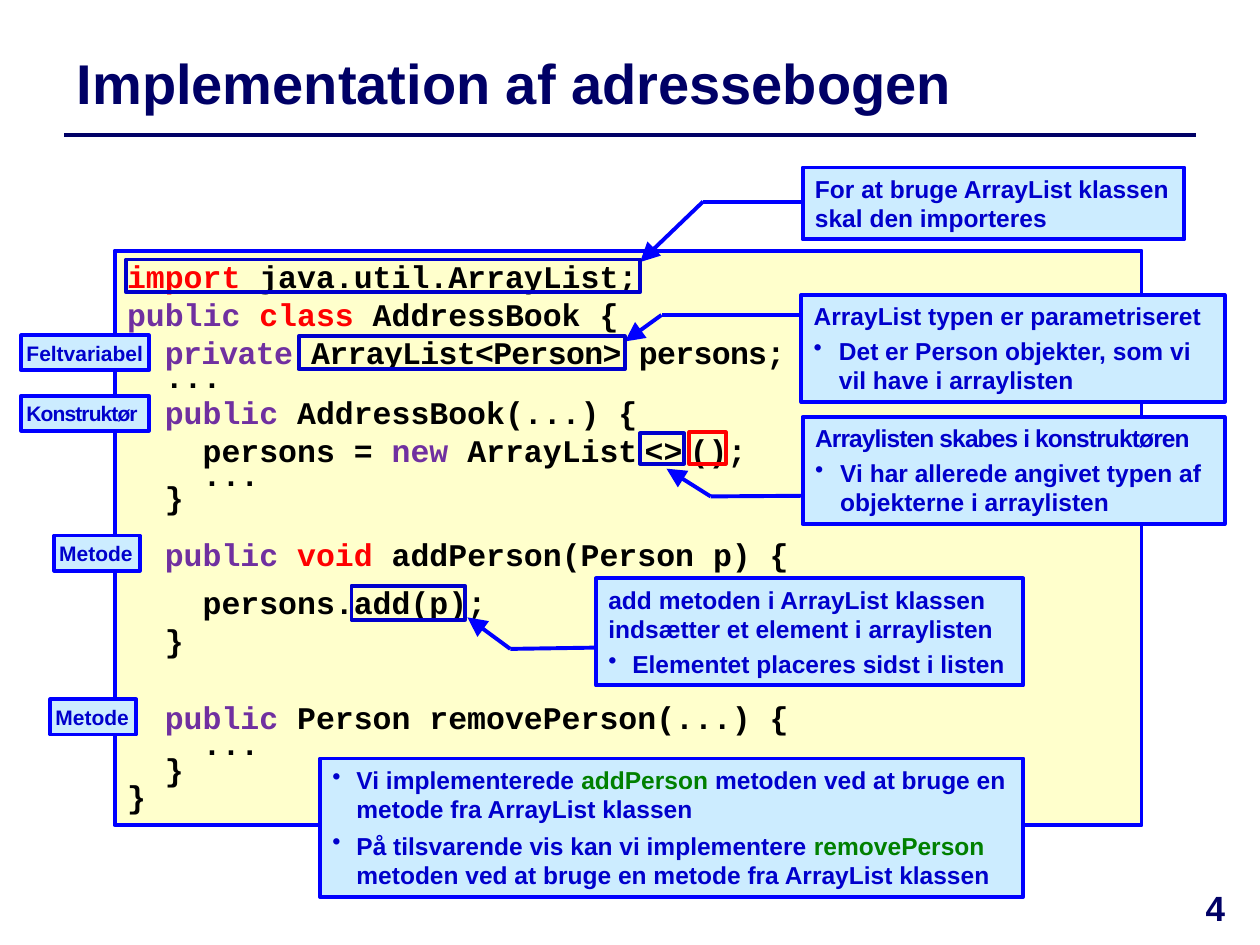
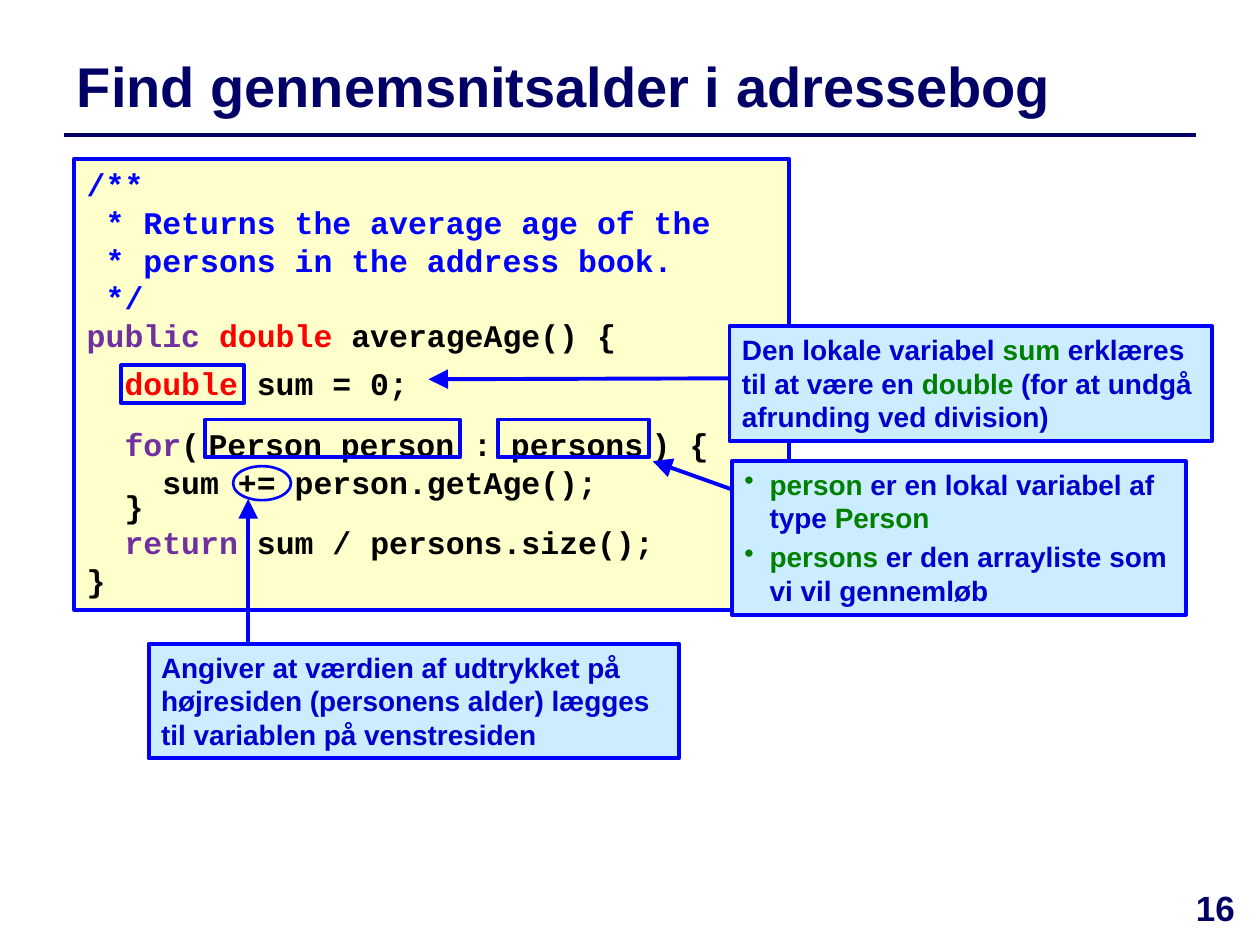
from dataclasses import dataclass
from typing import NamedTuple

from lxml import etree
from pptx import Presentation
from pptx.dml.color import RGBColor
from pptx.enum.shapes import MSO_CONNECTOR, MSO_SHAPE
from pptx.enum.text import MSO_ANCHOR, PP_ALIGN
from pptx.oxml.ns import qn
from pptx.util import Inches, Pt

RECT, OVAL = MSO_SHAPE.RECTANGLE, MSO_SHAPE.OVAL
STRAIGHT = MSO_CONNECTOR.STRAIGHT
TOP, MIDDLE = MSO_ANCHOR.TOP, MSO_ANCHOR.MIDDLE
LEFT, CENTER = PP_ALIGN.LEFT, PP_ALIGN.CENTER

# Colours and type
NAVY, BLUE, INK = "000066", "0000FF", "0000CC"
CREAM, SKY = "FFFFCC", "CCECFF"
BLACK, RED, PURPLE, GREEN = "000000", "FF0000", "7030A0", "008000"
SANS, MONO = "Arial", "Courier New"
BORDER = 2.25


class Box(NamedTuple):
    left: float
    top: float
    width: float
    height: float


@dataclass
class Run:
    text: str
    color: str = ""
    size: float = 0
    spc: float = 0


@dataclass
class Para:
    runs: list[Run]
    before: float = 0
    spacing: float = 1.0
    indent: float = 0


@dataclass
class Style:
    font: str
    size: float
    color: str
    fill: str
    inset: float = 0.1


CODE = Style(MONO, 18, BLACK, CREAM)
NOTE = Style(SANS, 14, INK, SKY)
BIG_NOTE = Style(SANS, 16, INK, SKY)
LABEL = Style(SANS, 12, INK, SKY, 0.04)


# Short forms for coloured runs and paragraphs
def red(text: str) -> Run:
    return Run(text, RED)


def purple(text: str) -> Run:
    return Run(text, PURPLE)


def green(text: str) -> Run:
    return Run(text, GREEN)


def para(*runs: str | Run, before: float = 0, spacing: float = 1.0,
         indent: float = 0) -> Para:
    return Para([Run(r) if isinstance(r, str) else r for r in runs],
                before, spacing, indent)


def bullet(*runs: str | Run, before: float = 3, indent: float = 0.2) -> Para:
    return para(*runs, before=before, indent=indent)


# Drawing helpers
def rgb(color: str) -> RGBColor:
    return RGBColor.from_string(color)


def inches(values) -> list:
    return [Inches(v) for v in values]


def add_run(p, run: Run, font: str, size: float, color: str) -> None:
    r = p.add_run()
    r.text = run.text
    r.font.name, r.font.size, r.font.bold = font, Pt(run.size or size), True
    r.font.color.rgb = rgb(run.color or color)
    if run.spc:
        r.font._element.set("spc", str(round(run.spc * 100)))


def add_shape(slide, box: Box, line: str, width: float = BORDER,
              fill: str = "", kind=RECT):
    sp = slide.shapes.add_shape(kind, *inches(box))
    sp.shadow.inherit = False
    sp.line.color.rgb, sp.line.width = rgb(line), Pt(width)
    if fill:
        sp.fill.solid()
        sp.fill.fore_color.rgb = rgb(fill)
    else:
        sp.fill.background()
    return sp


def add_panel(slide, box: Box, style: Style, *paras: Para) -> None:
    tf = add_shape(slide, box, BLUE, fill=style.fill).text_frame
    tf.word_wrap, tf.vertical_anchor = True, TOP
    tf.margin_left = tf.margin_right = Inches(style.inset)
    tf.margin_top = tf.margin_bottom = Inches(min(style.inset, 0.05))
    for i, item in enumerate(paras):
        p = tf.add_paragraph() if i else tf.paragraphs[0]
        p.alignment, p.line_spacing = LEFT, item.spacing
        p.space_before = Pt(item.before)
        if item.indent:
            pPr = p._p.get_or_add_pPr()
            pPr.set("marL", str(Inches(item.indent)))
            pPr.set("indent", str(-Inches(item.indent)))
            etree.SubElement(pPr, qn("a:buChar"), char="•")
        for run in item.runs:
            add_run(p, run, style.font, style.size, style.color)


def add_line(slide, start, end, color: str = BLUE, width: float = BORDER,
             arrow: bool = False) -> None:
    c = slide.shapes.add_connector(STRAIGHT, *inches((*start, *end)))
    c.line.color.rgb, c.line.width = rgb(color), Pt(width)
    spPr = c.element.spPr
    if arrow:
        etree.SubElement(spPr.find(qn("a:ln")), qn("a:tailEnd"),
                         type="triangle", w="lg", len="lg")
    etree.SubElement(spPr, qn("a:effectLst"))


def add_leader(slide, *points) -> None:
    """Draw a polyline with an arrowhead on its last leg."""
    for i, (start, end) in enumerate(zip(points, points[1:]), 2):
        add_line(slide, start, end, arrow=i == len(points))


def new_slide(prs, title: str, number: int, title_top: float):
    slide = prs.slides.add_slide(prs.slide_layouts[5])
    add_line(slide, (0.51, 1.07), (9.49, 1.07), NAVY, 2)
    sp = slide.shapes.title
    sp.left, sp.top, sp.width, sp.height = inches((0.51, title_top, 8.98, 0.75))
    sp.text_frame.vertical_anchor = MIDDLE
    p = sp.text_frame.paragraphs[0]
    p.alignment = LEFT
    add_run(p, Run(title), SANS, 32, NAVY)
    tf = slide.shapes.add_textbox(*inches((9.29, 6.99, 0.71, 0.5))).text_frame
    tf.word_wrap = True
    p = tf.paragraphs[0]
    p.alignment = CENTER
    add_run(p, Run(str(number)), SANS, 20, NAVY)
    return slide


def build_address_book(prs) -> None:
    s = new_slide(prs, "Implementation af adressebogen", 4, 0.28)
    gap = Run(" ", size=7)
    add_panel(
        s, Box(0.91, 1.99, 8.15, 4.56), CODE,
        para(red("import "), "java.util.ArrayList;"),
        para(purple("public "), red("class "), "AddressBook {"),
        para("  ", Run("private", PURPLE, spc=-0.4),
             Run(" ArrayList<Person> persons;", spc=-0.4)),
        para("  ...", spacing=0.6),
        para("  ", purple("public"), " AddressBook(...) {"),
        para("    persons = ", purple("new "), "ArrayList", gap, "<>", gap, "();"),
        para("    ...", spacing=0.6),
        para("  }", spacing=0.6),
        para(purple("  public "), red("void "), "addPerson(Person p) {", before=12),
        para("    persons.add(p);", before=6),
        para("  }"),
        para("  ", purple("public"), " Person removePerson(...) {",
             before=30, spacing=0.6),
        *(para(text, spacing=0.7) for text in ("    ...", "  }", "}")))

    # Arrows from the notes to the code
    add_leader(s, (7.06, 1.6), (5.58, 1.6), (5.08, 2.08))
    add_leader(s, (7.52, 2.5), (5.25, 2.5), (4.96, 2.71))
    add_leader(s, (7.06, 3.93), (5.64, 3.94), (5.29, 3.72))
    add_leader(s, (4.73, 5.14), (4.05, 5.15), (3.71, 4.9))

    # Frames round code fragments
    for box, color in ((Box(1, 2.06, 4.08, 0.26), INK),
                       (Box(2.37, 2.67, 2.59, 0.26), INK),
                       (Box(5.08, 3.44, 0.35, 0.24), INK),
                       (Box(5.47, 3.43, 0.29, 0.25), RED),
                       (Box(2.79, 4.65, 0.9, 0.27), INK)):
        add_shape(s, box, color)

    # Notes
    add_panel(s, Box(6.37, 1.33, 3.03, 0.57), NOTE,
              para("For at bruge ArrayList klassen skal den importeres"))
    add_panel(s, Box(6.36, 2.34, 3.36, 0.85), NOTE,
              para("ArrayList typen er parametriseret"),
              bullet("Det er Person objekter, som vi vil have i arraylisten"))
    add_panel(s, Box(6.37, 3.31, 3.35, 0.85), NOTE,
              para(Run("Arraylisten skabes i konstruktøren", spc=-0.5)),
              bullet("Vi har allerede angivet typen af objekterne i arraylisten"))
    add_panel(s, Box(4.73, 4.59, 3.39, 0.85), NOTE,
              para("add metoden i ArrayList klassen indsætter et element i arraylisten"),
              bullet("Elementet placeres sidst i listen", indent=0.19))
    add_panel(s, Box(2.54, 6.02, 5.58, 1.1), NOTE,
              bullet("Vi implementerede ", green("addPerson"),
                     " metoden ved at bruge en metode fra ArrayList klassen",
                     before=0, indent=0.19),
              bullet("På tilsvarende vis kan vi implementere ", green("removePerson"),
                     " metoden ved at bruge en metode fra ArrayList klassen",
                     before=4, indent=0.19))

    # Labels in the left margin
    for text, left, top, width, spc in (("Feltvariabel", 0.17, 2.66, 1.01, 0),
                                        ("Konstruktør", 0.17, 3.14, 1.01, -0.5),
                                        ("Metode", 0.43, 4.25, 0.68, 0),
                                        ("Metode", 0.4, 5.55, 0.68, 0)):
        add_panel(s, Box(left, top, width, 0.28), LABEL, para(Run(text, spc=spc)))


def build_average_age(prs) -> None:
    s = new_slide(prs, "Find gennemsnitsalder i adressebog", 16, 0.3)
    gap = Run(" ", size=8)
    javadoc = ("/**", " * Returns the average age of the",
               " * persons in the address book.", " */")
    add_panel(
        s, Box(0.59, 1.26, 5.67, 3.58), CODE,
        *(para(Run(text, BLUE)) for text in javadoc),
        para(purple("public "), red("double "), "averageAge() {"),
        para("  ", red("double "), "sum = 0;", before=6),
        para(purple("  for"), "(", gap, "Person person : persons", gap, ") {",
             spacing=1.6),
        para("    sum += person.getAge();"),
        para("  }", spacing=0.6),
        para(purple("  return "), "sum / persons.size();"),
        para("}"))

    # Arrows from the notes to the code
    add_leader(s, (1.97, 5.11), (1.97, 3.96))
    add_leader(s, (6.66, 3), (3.4, 3.01))
    add_leader(s, (6.75, 4.22), (5.18, 3.66))

    # Frames round code fragments
    add_shape(s, Box(1.85, 3.7, 0.46, 0.27), BLUE, 1.5, kind=OVAL)
    for left, top, width in ((0.96, 2.9, 0.98), (1.63, 3.33, 2.02), (3.95, 3.33, 1.2)):
        add_shape(s, Box(left, top, width, 0.3), BLUE)

    # Notes
    add_panel(s, Box(1.18, 5.11, 4.21, 0.91), BIG_NOTE,
              para("Angiver at værdien af udtrykket på højresiden (personens alder) "
                   "lægges til variablen på venstresiden"))
    add_panel(s, Box(5.79, 2.59, 3.83, 0.91), BIG_NOTE,
              para("Den lokale variabel ", green("sum"), " erklæres til at være en ",
                   green("double"), " (for at undgå afrunding ved division)"))
    add_panel(s, Box(5.81, 3.66, 3.6, 1.22), BIG_NOTE,
              bullet(green("person"), " er en lokal variabel af type ",
                     green("Person"), before=0),
              bullet(green("persons"), " er den arrayliste som vi vil gennemløb"))


def main() -> None:
    prs = Presentation()
    prs.slide_width, prs.slide_height = Inches(10), Inches(7.5)
    build_address_book(prs)
    build_average_age(prs)
    prs.save("out.pptx")


if __name__ == "__main__":
    main()
